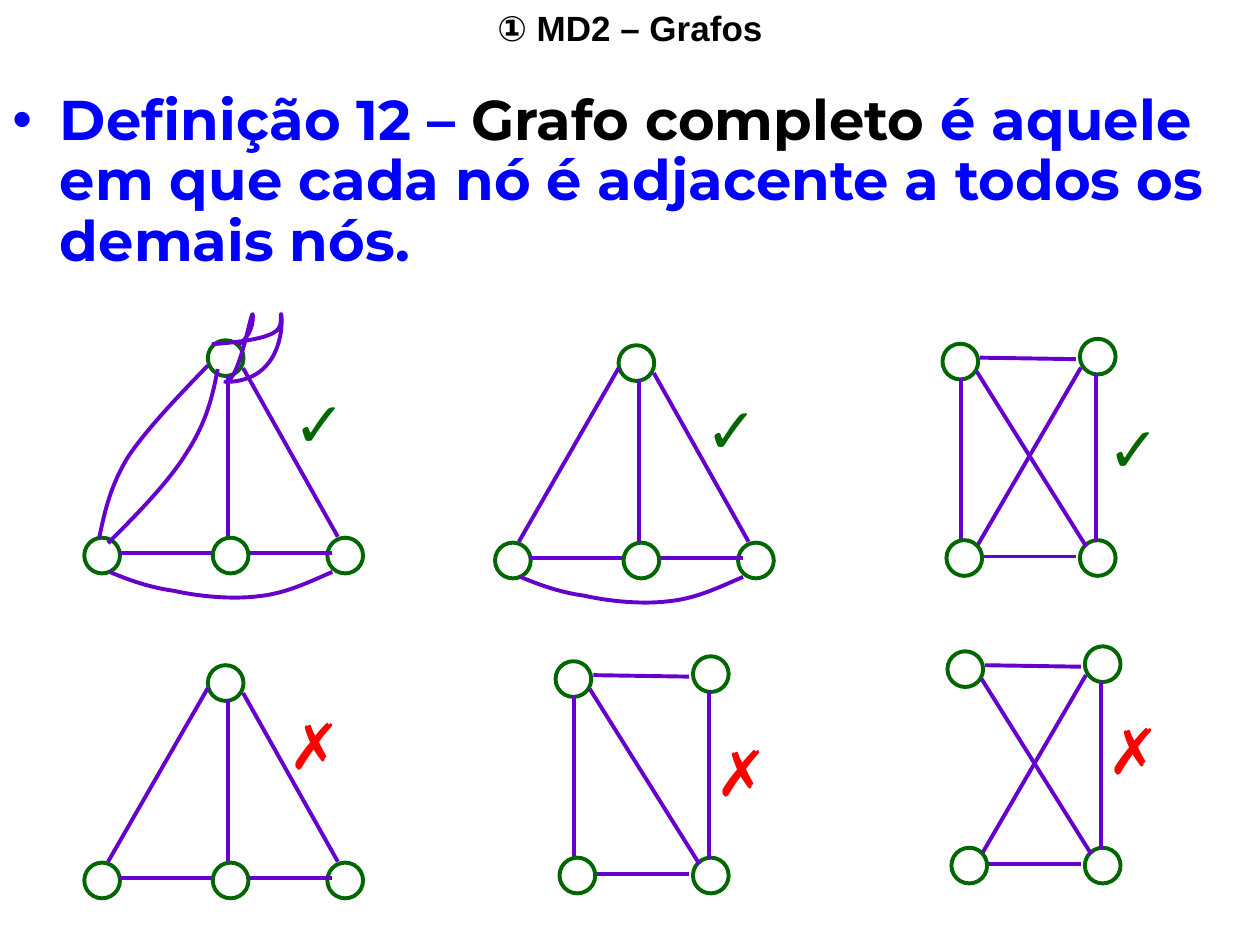
from lxml.etree import SubElement
from pptx import Presentation
from pptx.dml.color import RGBColor
from pptx.enum.shapes import MSO_CONNECTOR, MSO_SHAPE
from pptx.enum.text import MSO_AUTO_SIZE, PP_ALIGN
from pptx.oxml.ns import qn
from pptx.util import Cm, Pt

BLUE, BLACK, GREEN, RED, PURPLE = "0000FF", "000000", "006600", "FF0000", "6600CC"
NODE_SIZE = Cm(0.72)

# Nodes, edges and curves are in cm from the top left of their graph.
# The last node of each shape covers the ends of the edges.
TRIANGLE_NODES = [(0, 3.98), (4.9, 3.98), (2.49, 0), (2.59, 3.98)]
TRIANGLE_EDGES = {
    "base left": (0.69, 4.29, 2.59, 4.29),
    "middle": (2.9, 0.69, 2.9, 4.09),
    "base right": (5, 4.29, 3.3, 4.29),
    "right": (3.2, 0.56, 5.11, 3.96),
    "left": (2.49, 0.46, 0.48, 3.96),
}
SQUARE_NODES = [(0, 0.1), (2.77, 0), (2.77, 4.06), (0.08, 4.06)]
SQUARE_EDGES = {
    "left": (0.38, 0.79, 0.38, 4.19),
    "bottom": (2.69, 4.39, 0.76, 4.39),
    "falling": (0.69, 0.66, 2.9, 4.19),
    "rising": (2.79, 0.58, 0.69, 4.19),
    "right": (3.1, 0.69, 3.1, 4.09),
    "top": (2.69, 0.41, 0.76, 0.38),
}

# Each curve is a start point followed by three points per Bézier segment.
LOWER_ARC = [(0.51, 4.67), (0.89, 4.83), (1.3, 4.98), (1.8, 5.05), (2.29, 5.16),
             (2.97, 5.23), (3.51, 5.16), (4.04, 5.11), (4.52, 4.88), (5, 4.67)]
OUTER_ARC = [(0.3, 3.99), (0.41, 3.45), (0.53, 2.92), (0.89, 2.34),
             (1.27, 1.78), (1.88, 1.14), (2.49, 0.51)]
INNER_ARC = [(2.69, 0.58), (2.59, 1.12), (2.46, 1.65), (2.08, 2.24),
             (1.73, 2.82), (1.12, 3.45), (0.48, 4.09)]
LOOP = [(2.57, 0.08), (4.06, -0.03), (3.96, -0.25), (3.96, -0.48), (3.96, -0.84),
        (4.22, 0.84), (2.84, 0.84), (3.15, 0.84), (3.4, -0.84), (3.4, -0.48),
        (3.4, -0.23), (3.28, -0.03), (3.1, 0.1)]

# left, top, nodes, edges, missing edge, curves
GRAPHS = [
    (1.7, 6.86, TRIANGLE_NODES, TRIANGLE_EDGES, "left",
     [LOOP, OUTER_ARC, INNER_ARC, LOWER_ARC]),
    (9.98, 6.96, TRIANGLE_NODES, TRIANGLE_EDGES, None, [LOWER_ARC]),
    (19, 6.83, SQUARE_NODES, SQUARE_EDGES, None, []),
    (1.7, 13.41, TRIANGLE_NODES, TRIANGLE_EDGES, None, []),
    (11.2, 13.23, SQUARE_NODES, SQUARE_EDGES, "rising", []),
    (19.1, 13.03, SQUARE_NODES, SQUARE_EDGES, "left", []),
]
MARKS = [
    ("✓", GREEN, 5.66, 7.62), ("✓", GREEN, 13.97, 7.75), ("✓", GREEN, 22.07, 8.13),
    ("✗", RED, 5.56, 14.12), ("✗", RED, 14.17, 14.66), ("✗", RED, 22.07, 14.22),
]


def paint(color_format, value):
    color_format.rgb = RGBColor.from_string(value)


def add_text(left, top, width, height, spans, font_name, size, bold, wrap=True):
    """Add a one-paragraph text box from (text, colour) spans; return the paragraph."""
    box = page.shapes.add_textbox(Cm(left), Cm(top), Cm(width), Cm(height))
    frame = box.text_frame
    frame.word_wrap = wrap
    frame.auto_size = MSO_AUTO_SIZE.SHAPE_TO_FIT_TEXT
    paragraph = frame.paragraphs[0]
    for text, color in spans:
        span = paragraph.add_run()
        span.text = text
        span.font.name = font_name
        span.font.size = Pt(size)
        span.font.bold = bold
        paint(span.font.color, color)
    return paragraph


deck = Presentation()
deck.slide_width, deck.slide_height = Cm(25.4), Cm(19.05)
page = deck.slides.add_slide(deck.slide_layouts[6])

title = add_text(0, 0, 25.4, 1.12, [("① MD2 – Grafos", BLACK)], "Arial", 20, True)
title.alignment = PP_ALIGN.CENTER

definition = add_text(0, 1.73, 25.4, 3.91, [
    ("Definição 12 – ", BLUE),
    ("Grafo completo", BLACK),
    (" é aquele em que cada nó é adjacente a todos os demais nós.", BLUE),
], "Montserrat", 32, True)
definition.line_spacing = 0.9
properties = definition._p.get_or_add_pPr()
properties.set("marL", str(Cm(0.96)))
properties.set("indent", str(-Cm(0.96)))
bullet_color = SubElement(properties, qn("a:buClr"))
SubElement(bullet_color, qn("a:srgbClr"), val=BLUE)
SubElement(properties, qn("a:buFont"), typeface="Arial")
SubElement(properties, qn("a:buChar"), char="•")

for left, top, nodes, edges, missing, curves in GRAPHS:
    for x, y in nodes:
        node = page.shapes.add_shape(MSO_SHAPE.FLOWCHART_CONNECTOR, Cm(left + x),
                                     Cm(top + y), NODE_SIZE, NODE_SIZE)
        node.shadow.inherit = False
        node.fill.solid()
        paint(node.fill.fore_color, "FFFFFF")
        paint(node.line.color, GREEN)
        node.line.width = Pt(2.25)

    for name, (x1, y1, x2, y2) in edges.items():
        if name == missing:
            continue
        edge = page.shapes.add_connector(MSO_CONNECTOR.STRAIGHT, Cm(left + x1),
                                         Cm(top + y1), Cm(left + x2), Cm(top + y2))
        paint(edge.line.color, PURPLE)
        edge.line.width = Pt(2.25)
        SubElement(edge._element.spPr, qn("a:effectLst"))
        # The last node stays in front of the edges.
        node._element.addprevious(edge._element)

    for curve in curves:
        points = [(Cm(left + x), Cm(top + y)) for x, y in curve]
        builder = page.shapes.build_freeform(*points[0])
        builder.add_line_segments(points[1:], close=False)
        arc = builder.convert_to_shape()
        arc.shadow.inherit = False
        arc.fill.background()
        paint(arc.line.color, PURPLE)
        arc.line.width = Pt(2.25)
        # Turn every three straight segments into one Bézier segment.
        outline = arc._element.spPr.find(".//" + qn("a:path"))
        segments = outline.findall(qn("a:lnTo"))
        for start in range(0, len(segments), 3):
            bezier = SubElement(outline, qn("a:cubicBezTo"))
            for segment in segments[start:start + 3]:
                bezier.append(segment[0])
                outline.remove(segment)

for symbol, color, left, top in MARKS:
    width = 1.55 if symbol == "✓" else 1.37
    add_text(left, top, width, 1.78, [(symbol, color)], "Arial", 36, False, wrap=False)

deck.save("out.pptx")
